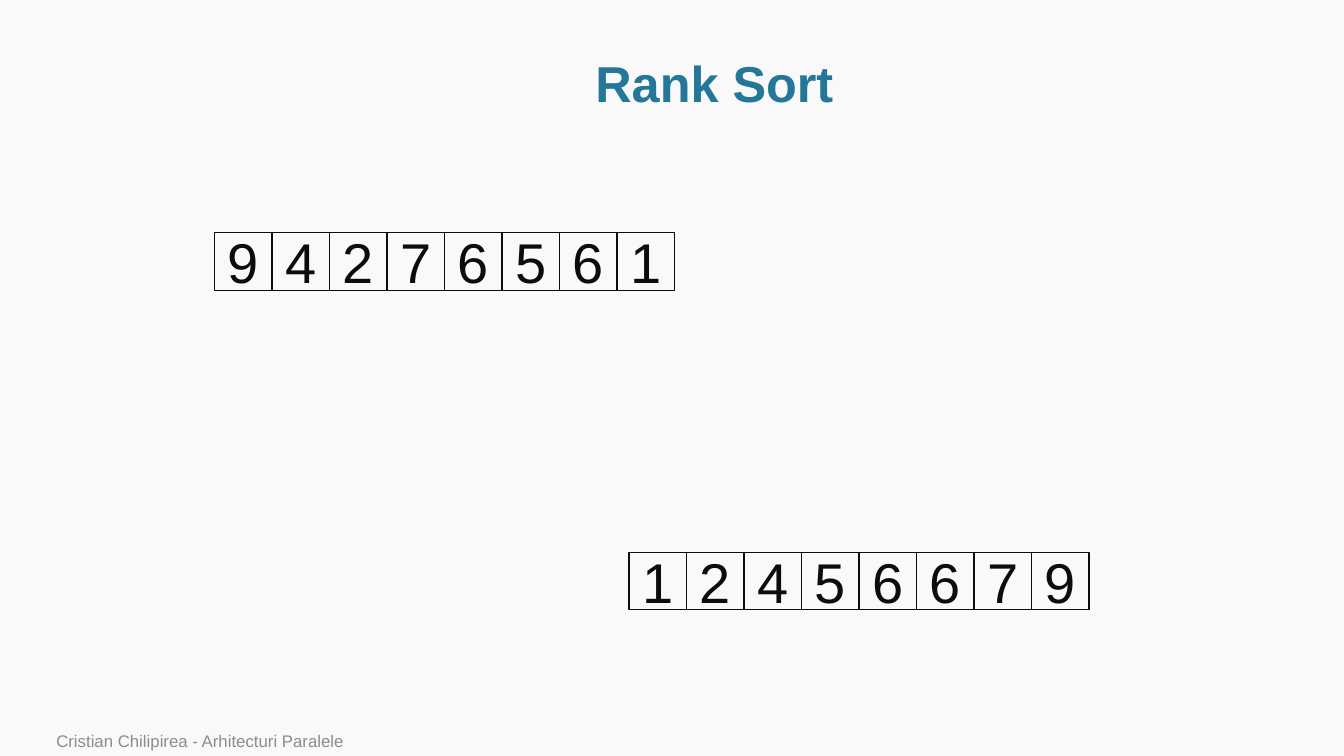
from pptx import Presentation
from pptx.dml.color import RGBColor
from pptx.enum.shapes import MSO_SHAPE
from pptx.enum.text import MSO_ANCHOR, PP_ALIGN
from pptx.util import Emu, Pt

SCALE = 9144
COLORS = {
    "background": "F9F9F9",
    "title": "247798",
    "ink": "0C0C0C",
    "footer": "8C8C8C",
}
CELL_SIZE = 57
UNSORTED = [9, 4, 2, 7, 6, 5, 6, 1]


def px(length):
    return Emu(length * SCALE)


def color(name):
    return RGBColor.from_string(COLORS[name])


def write_text(shape, text, *, size, ink, bold=False, align=PP_ALIGN.LEFT,
               anchor=MSO_ANCHOR.MIDDLE, line_spacing=None):
    frame = shape.text_frame
    frame.word_wrap = True
    frame.vertical_anchor = anchor
    paragraph = frame.paragraphs[0]
    paragraph.alignment = align
    paragraph.line_spacing = line_spacing
    run = paragraph.add_run()
    run.text = text
    run.font.name = "Arial"
    run.font.size = Pt(size)
    run.font.bold = bold
    run.font.color.rgb = color(ink)


def add_title(slide, left, top, width, height):
    shape = slide.shapes.add_textbox(px(left), px(top), px(width), px(height))
    write_text(shape, "Rank Sort", size=36, ink="title", bold=True,
               align=PP_ALIGN.CENTER, line_spacing=0.9)


def add_number_row(slide, numbers, left, top, cell_size):
    for index, number in enumerate(numbers):
        shape = slide.shapes.add_shape(
            MSO_SHAPE.RECTANGLE, px(left + index * cell_size), px(top),
            px(cell_size), px(cell_size))
        shape.shadow.inherit = False
        shape.fill.background()
        shape.line.color.rgb = color("ink")
        shape.line.width = Pt(1)
        write_text(shape, str(number), size=40, ink="ink",
                   align=PP_ALIGN.CENTER)


def add_footer(slide, left, top, width, height):
    shape = slide.shapes.add_textbox(px(left), px(top), px(width), px(height))
    write_text(shape, "Cristian Chilipirea - Arhitecturi Paralele", size=12,
               ink="footer", anchor=MSO_ANCHOR.BOTTOM)


def main():
    presentation = Presentation()
    presentation.slide_width = px(1333)
    presentation.slide_height = px(750)
    slide = presentation.slides.add_slide(presentation.slide_layouts[6])
    slide.background.fill.solid()
    slide.background.fill.fore_color.rgb = color("background")
    add_title(slide, 114, 51, 1189, 69)
    add_number_row(slide, UNSORTED, 213, 231, CELL_SIZE)
    add_number_row(slide, sorted(UNSORTED), 624, 548, CELL_SIZE)
    add_footer(slide, 46, 722, 982, 28)
    presentation.save("out.pptx")


if __name__ == "__main__":
    main()
